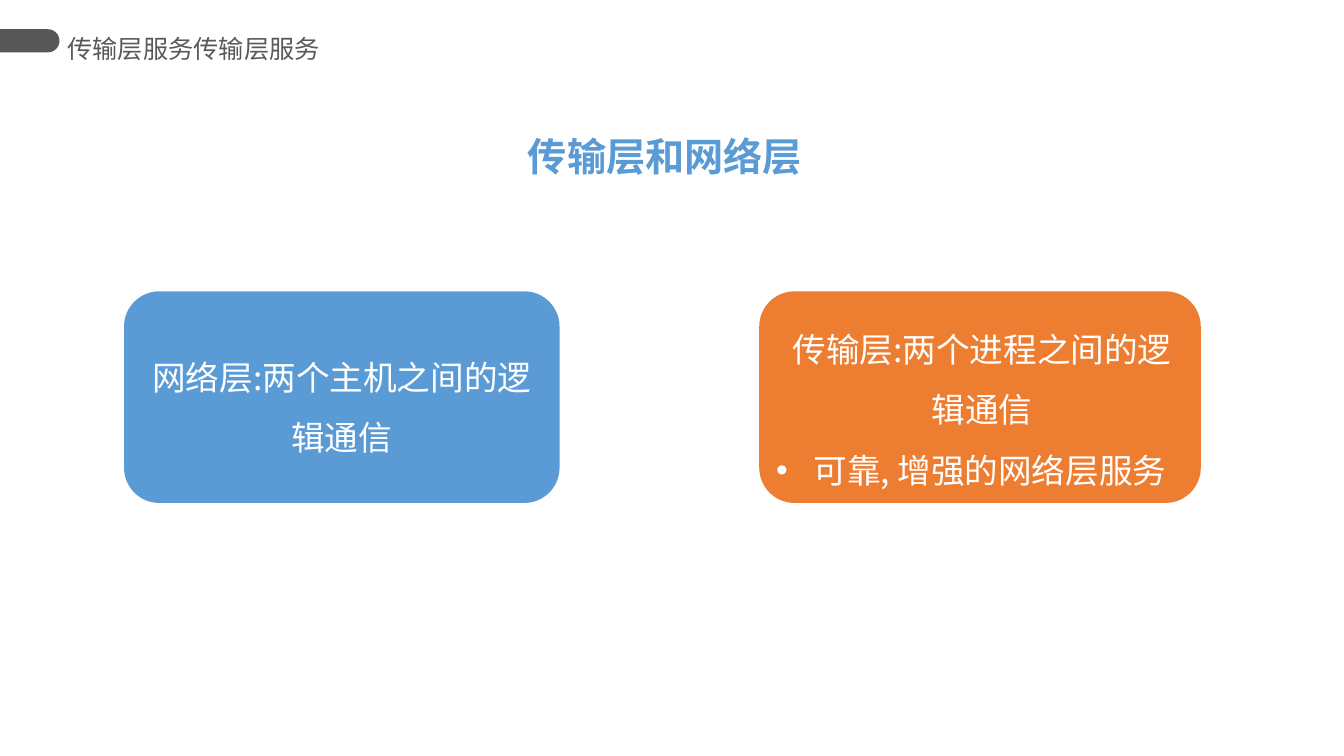
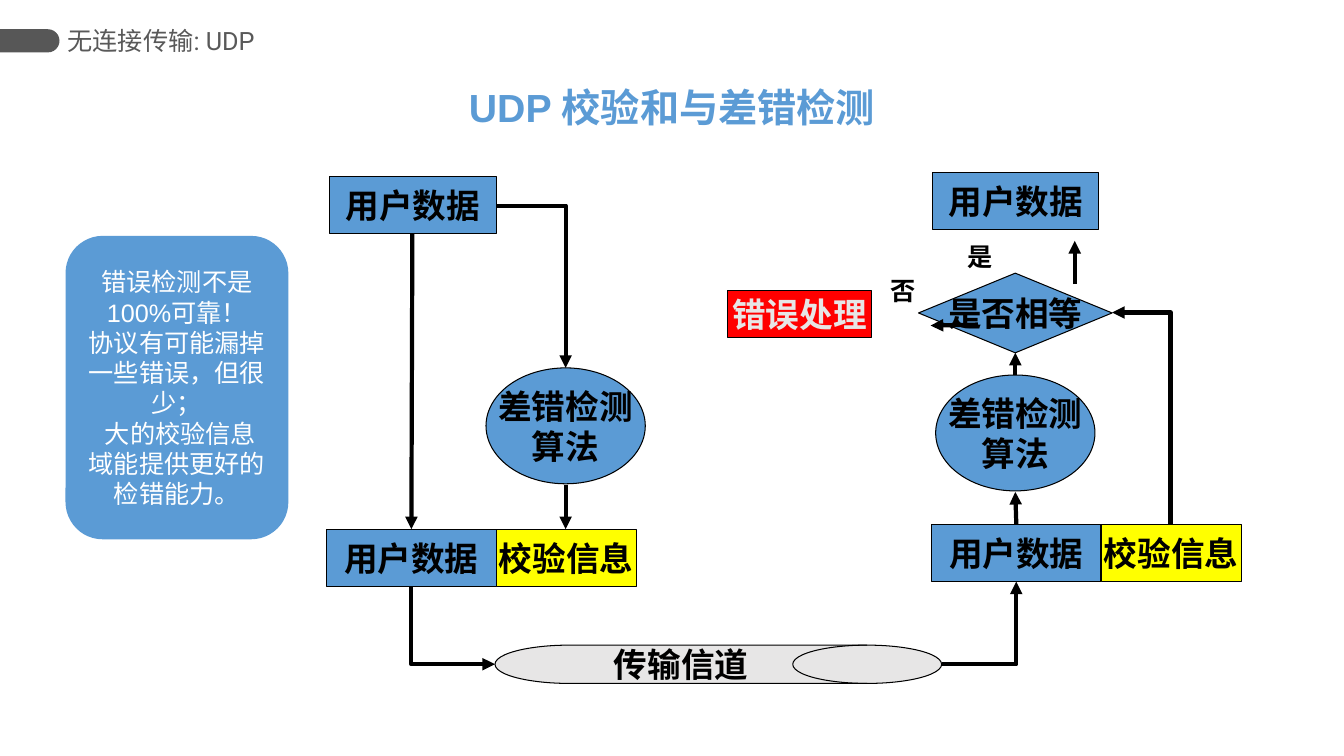
from lxml.etree import SubElement
from pptx import Presentation
from pptx.dml.color import RGBColor
from pptx.enum.shapes import MSO_CONNECTOR as LINK, MSO_SHAPE as KIND
from pptx.enum.text import MSO_ANCHOR, MSO_AUTO_SIZE, PP_ALIGN
from pptx.oxml.ns import qn
from pptx.util import Pt

PX = 9144
BLUE = RGBColor(0x5B, 0x9B, 0xD5)
ORANGE = RGBColor(0xED, 0x7D, 0x31)
YELLOW = RGBColor(0xFF, 0xFF, 0x00)
RED = RGBColor(0xFF, 0x00, 0x00)
PALE = RGBColor(0xE7, 0xE6, 0xE6)
DARK = RGBColor(0x57, 0x57, 0x57)
GRAY = RGBColor(0x59, 0x59, 0x59)
BLACK = RGBColor(0x00, 0x00, 0x00)
WHITE = RGBColor(0xFF, 0xFF, 0xFF)
SANS = "Noto Sans CJK SC"


def write(frame, lines, size, tint, font=SANS, bold=False, align=PP_ALIGN.CENTER, space=None):
    for i, text in enumerate(lines):
        para = frame.add_paragraph() if i else frame.paragraphs[0]
        para.alignment = align
        para.line_spacing = space
        run = para.add_run()
        run.text = text
        run.font.size = Pt(size)
        run.font.bold = bold
        run.font.name = font
        run.font.color.rgb = tint
        SubElement(run.font._element, qn("a:ea"), typeface=SANS)


def draw(page, kind, rect, fill, edge=None):
    shape = page.shapes.add_shape(kind, *[n * PX for n in rect])
    shape.shadow.inherit = False
    shape.fill.solid()
    shape.fill.fore_color.rgb = fill
    if edge is None:
        shape.line.fill.background()
    else:
        shape.line.color.rgb = edge
        shape.line.width = Pt(0.75)
    shape.text_frame.vertical_anchor = MSO_ANCHOR.MIDDLE
    return shape


deck = Presentation()
deck.slide_width = 1333 * PX
deck.slide_height = 750 * PX
base = deck.slide_layouts[5]

pages = []
for head, font, size, title, rect in [
    ("传输层服务传输层服务", "Arial", (252, 58), "传输层和网络层", (512, 126, 295, 57)),
    ("无连接传输: UDP", "Roboto", (233, 42), "UDP 校验和与差错检测", (453, 78, 427, 57)),
]:
    page = deck.slides.add_slide(base)
    pages.append(page)
    name = page.shapes.title
    name.left, name.top, name.width, name.height = [n * PX for n in rect]
    frame = name.text_frame
    frame.word_wrap = True
    frame.auto_size = MSO_AUTO_SIZE.NONE
    frame.vertical_anchor = MSO_ANCHOR.TOP
    write(frame, [title], 28, BLUE, "Arial", True)

    label = page.shapes.add_textbox(67 * PX, 19 * PX, *[n * PX for n in size])
    frame = label.text_frame
    frame.word_wrap = True
    frame.margin_left = frame.margin_right = 0
    frame.vertical_anchor = MSO_ANCHOR.MIDDLE
    write(frame, [head], 18, GRAY, font, align=PP_ALIGN.LEFT)

band = draw(pages[0], KIND.ROUND_2_SAME_RECTANGLE, (18, 11, 23, 59), DARK)
band.adjustments[0] = 0.5
band.rotation = 90
base.shapes._spTree.append(band._element)

page = pages[0]
net = draw(page, KIND.ROUNDED_RECTANGLE, (123, 289, 432, 210), BLUE)
frame = net.text_frame
frame.margin_left = frame.margin_right = 6 * PX
write(frame, ["网络层:两个主机之间的逻辑通信"], 24, WHITE, space=1.5)
draw(page, KIND.ROUNDED_RECTANGLE, (753, 289, 438, 210), ORANGE)
text = page.shapes.add_textbox(760 * PX, 301 * PX, 423 * PX, 192 * PX)
frame = text.text_frame
frame.word_wrap = True
frame.margin_right = 5 * PX
write(frame, ["传输层:两个进程之间的逻辑通信", "可靠, 增强的网络层服务"], 24, WHITE, space=1.5)
item = frame.paragraphs[1]
item.alignment = PP_ALIGN.LEFT
prop = item._p.get_or_add_pPr()
prop.set("marL", str(37 * PX))
prop.set("indent", str(-37 * PX))
SubElement(prop, qn("a:buFont"), typeface="Arial")
SubElement(prop, qn("a:buChar"), char="•")

page = pages[1]
note = draw(page, KIND.ROUNDED_RECTANGLE, (65, 234, 221, 301), BLUE)
frame = note.text_frame
write(frame, ["错误检测不是100%可靠！", "协议有可能漏掉一些错误，但很少；", "大的校验信息域能提供更好的检错能力。"], 18, WHITE, "Arial")
frame.paragraphs[2]._p.get_or_add_pPr().set("indent", str(7 * PX))

nodes = {}
for key, kind, rect, fill, tint, lines in [
    ("data", KIND.RECTANGLE, (327, 175, 165, 57), BLUE, BLACK, ["用户数据"]),
    ("sum", KIND.OVAL, (482, 365, 158, 115), BLUE, BLACK, ["差错检测", "算法"]),
    ("sent", KIND.RECTANGLE, (324, 525, 168, 57), BLUE, BLACK, ["用户数据"]),
    ("code", KIND.RECTANGLE, (492, 525, 139, 57), YELLOW, BLACK, ["校验信息"]),
    ("drum", KIND.FLOWCHART_DIRECT_ACCESS_STORAGE, (491, 640, 443, 38), PALE, BLACK, ["传输信道"]),
    ("got", KIND.RECTANGLE, (924, 520, 168, 57), BLUE, BLACK, ["用户数据"]),
    ("check", KIND.RECTANGLE, (1092, 520, 139, 57), YELLOW, BLACK, ["校验信息"]),
    ("resum", KIND.OVAL, (928, 372, 158, 115), BLUE, BLACK, ["差错检测", "算法"]),
    ("same", KIND.FLOWCHART_DECISION, (911, 271, 192, 79), BLUE, BLACK, ["是否相等"]),
    ("out", KIND.RECTANGLE, (925, 171, 165, 57), BLUE, BLACK, ["用户数据"]),
    ("fail", KIND.FLOWCHART_PROCESS, (722, 288, 142, 47), RED, PALE, ["错误处理"]),
]:
    node = draw(page, kind, rect, fill, BLACK)
    node.text_frame.word_wrap = False
    write(node.text_frame, lines, 24, tint, bold=True)
    nodes[key] = node

for word, left, top in [("是", 950, 234), ("否", 873, 268)]:
    text = page.shapes.add_textbox(left * PX, top * PX, 46 * PX, 40 * PX)
    text.text_frame.word_wrap = True
    write(text.text_frame, [word], 18, BLACK, bold=True, align=PP_ALIGN.LEFT)

STEPS = [
    (561, 481, 561, 525, None),
    (409, 232, 408, 525, None),
    (1008, 520, 1007, 488, None),
    (1007, 372, 1007, 350, None),
    (1066, 282, 1066, 239, None),
    (970, 322, 923, 323, None),
    (492, 204, 561, 365, ("data", 3, "sum", 0)),
    (408, 582, 491, 659, ("sent", 2, "drum", 1)),
    (934, 659, 1008, 577, ("drum", 4, "got", 2)),
    (1161, 520, 1103, 310, ("check", 2, "same", 3)),
]
for x, y, u, v, ends in STEPS:
    turn = ends is not None and ends[1] == 2
    spin = 270 if v > y else 90
    if turn:
        mid, row = (x + u) / 2, (y + v) / 2
        wide, high = abs(v - y) / 2, abs(u - x) / 2
        x, y, u, v = mid + wide, row - high, mid - wide, row + high
    arrow = page.shapes.add_connector(
        LINK.ELBOW if ends else LINK.STRAIGHT, *[int(n * PX) for n in (x, y, u, v)]
    )
    arrow.line.color.rgb = BLACK
    arrow.line.width = Pt(3)
    SubElement(arrow.line._get_or_add_ln(), qn("a:tailEnd"), type="triangle")
    prop = arrow._element.spPr
    SubElement(prop, qn("a:effectLst"))
    if ends:
        prop.find(qn("a:prstGeom")).set("prst", "bentConnector2")
        join = arrow._element.find(".//" + qn("p:cNvCxnSpPr"))
        for tag, key, site in [("a:stCxn", *ends[:2]), ("a:endCxn", *ends[2:])]:
            SubElement(join, qn(tag), id=str(nodes[key].shape_id), idx=str(site))
    if turn:
        prop.find(qn("a:xfrm")).set("rot", str(spin * 60000))

deck.save("out.pptx")
